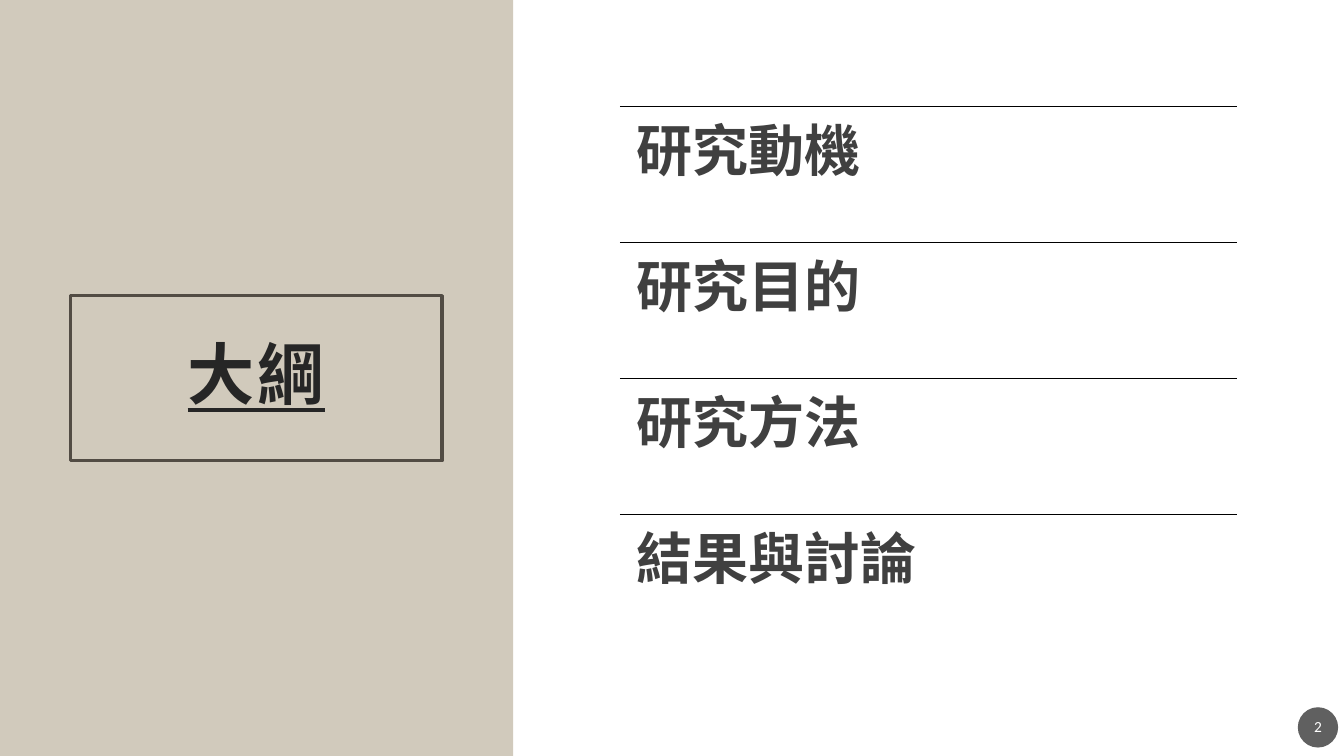
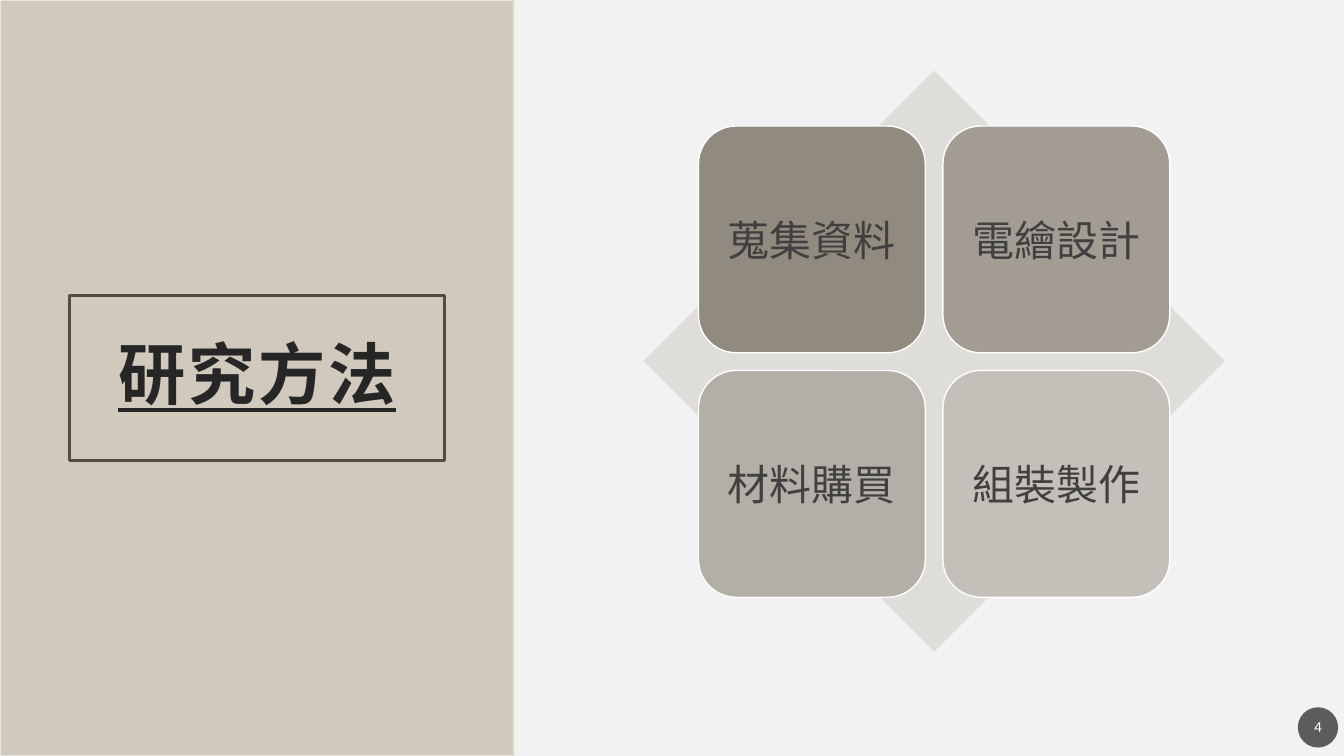
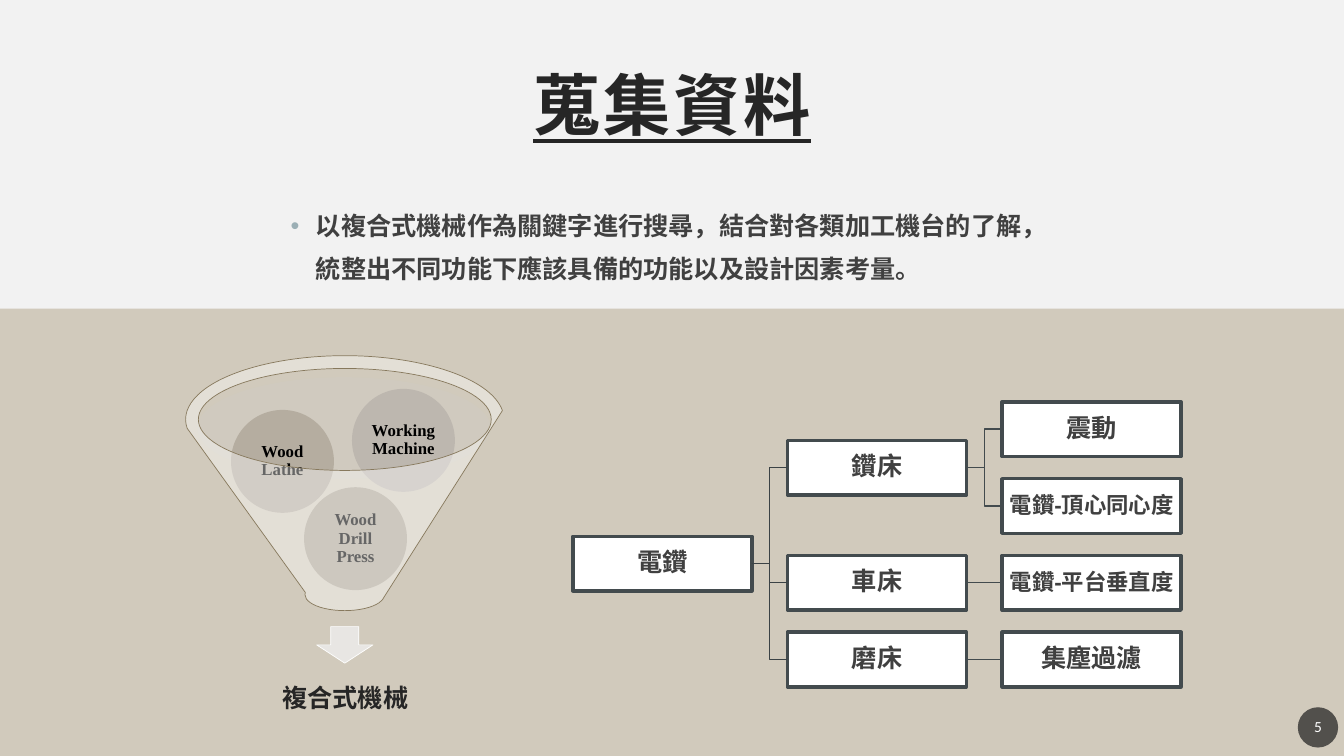
import pptx
import pptx.dml.color
import pptx.enum.shapes
import pptx.enum.text
import pptx.oxml
import pptx.oxml.ns
import pptx.util
from lxml import etree

RGB = pptx.dml.color.RGBColor
WHITE = RGB(0xFF, 0xFF, 0xFF)
BLACK = RGB(0x00, 0x00, 0x00)
PALE = RGB(0xF2, 0xF2, 0xF2)
SAND = RGB(0xD1, 0xCA, 0xBC)
SAND_EDGE = RGB(0xE8, 0xE5, 0xDE)
BROWN = RGB(0x52, 0x4C, 0x44)
INK = RGB(0x26, 0x26, 0x26)
GREY = RGB(0x40, 0x40, 0x40)
BADGE = RGB(0x1D, 0x1D, 0x1D)
DIAMOND = RGB(0xDF, 0xDD, 0xDA)
CARD_FILLS = [RGB(0x91, 0x8A, 0x7F), RGB(0xA2, 0x9C, 0x92),
              RGB(0xB3, 0xAE, 0xA6), RGB(0xC4, 0xBF, 0xB9)]
MOUTH = RGB(0xCF, 0xCB, 0xC4)
ARROW = RGB(0xE8, 0xE6, 0xE3)
FUNNEL_EDGE = RGB(0x87, 0x79, 0x5D)
DRILL = RGB(0xAC, 0xA4, 0x95)
LATHE = RGB(0xB5, 0xAD, 0xA0)
MACHINE = RGB(0xBD, 0xB7, 0xAF)
TRUNK = RGB(0x3B, 0x42, 0x45)
SLATE = RGB(0x43, 0x4B, 0x4E)

CJK = "Noto Sans CJK SC"
SHAPE = pptx.enum.shapes.MSO_SHAPE
CONNECTOR = pptx.enum.shapes.MSO_CONNECTOR
MIDDLE = pptx.enum.text.MSO_ANCHOR.MIDDLE
TOP = pptx.enum.text.MSO_ANCHOR.TOP
CENTER = pptx.enum.text.PP_ALIGN.CENTER
LEFT = pptx.enum.text.PP_ALIGN.LEFT
Pt = pptx.util.Pt
qn = pptx.oxml.ns.qn

TITLE_FONT = {"name": CJK, "size": Pt(48), "bold": True, "underline": True}
AGENDA_FONT = {"name": CJK, "size": Pt(40), "bold": True}
BODY_FONT = {"name": CJK, "size": Pt(18), "bold": True}
CARD_FONT = {"name": "Calibri", "size": Pt(30)}
BADGE_FONT = {"name": "Calibri", "size": Pt(11)}
CIRCLE_FONT = {"name": "Times New Roman", "size": Pt(12), "bold": True}
LABEL_FONT = {"name": "Arial", "size": Pt(18), "bold": True}
LONG_LABEL_FONT = {**LABEL_FONT, "size": Pt(16)}

deck = pptx.Presentation()
deck.slide_width = pptx.util.Inches(13.333)
deck.slide_height = pptx.util.Inches(7.5)
COLUMNS, ROWS = 160, 90
CELL = deck.slide_height / ROWS


def draw(page, kind, at, fill=None, line=None, width=1, alpha=None):
    shape = page.shapes.add_shape(kind, *[round(CELL * cells) for cells in at])
    shape.shadow.inherit = False
    shape.fill.solid()
    shape.fill.fore_color.rgb = fill
    if alpha:
        colour = shape._element.spPr.find(qn("a:solidFill"))[0]
        etree.SubElement(colour, qn("a:alpha"), val=str(alpha * 1000))
    if line is None:
        shape.line.fill.background()
    else:
        shape.line.color.rgb = line
        shape.line.width = Pt(width)
    return shape


def write(shape, text, font, colour, margins=(1.2, 0.6), anchor=MIDDLE,
          align=CENTER, spacing=0.9):
    frame = shape.text_frame
    across, down = [round(CELL * cells) for cells in margins]
    values = {"word_wrap": True, "vertical_anchor": anchor,
              "auto_size": pptx.enum.text.MSO_AUTO_SIZE.NONE,
              "margin_left": across, "margin_right": across,
              "margin_top": down, "margin_bottom": down}
    for name, value in values.items():
        setattr(frame, name, value)
    para = frame.paragraphs[0]
    for name, value in {"alignment": align, "line_spacing": spacing,
                        "space_before": Pt(0)}.items():
        setattr(para, name, value)
    span = para.add_run()
    span.text = text
    for name, value in font.items():
        setattr(span.font, name, value)
    span.font.color.rgb = colour
    etree.SubElement(span._r.get_or_add_rPr(), qn("a:ea"), typeface=CJK)
    return span


title_only, title_and_body = deck.slide_layouts[5], deck.slide_layouts[1]
outline = deck.slides.add_slide(title_only)
method = deck.slides.add_slide(title_only)
research = deck.slides.add_slide(title_and_body)
connectors = []

frames = [
    (outline, "大綱", "2", WHITE, (0, 0, 61.1, ROWS), None,
     (8.4, 35.2, 44.2, 19.65), 2.5),
    (method, "研究方法", "4", PALE, (0, 0, 61.2, ROWS), SAND_EDGE,
     (8.3, 35.2, 44.6, 19.65), 2.25),
    (research, "蒐集資料", "5", PALE, (0, 36.75, COLUMNS, 53.25), None,
     (29.3, 5.2, 101.4, 15.6), None),
]
for page, heading, number, backdrop, panel_at, edge, title_at, border in frames:
    page.background.fill.solid()
    page.background.fill.fore_color.rgb = backdrop
    panel = draw(page, SHAPE.RECTANGLE, panel_at, SAND, edge)
    page.shapes._spTree.insert(2, panel._element)
    title = page.shapes.title
    for name, cells in zip(("left", "top", "width", "height"), title_at):
        setattr(title, name, round(CELL * cells))
    if border:
        title.line.color.rgb = BROWN
        title.line.width = Pt(border)
    span = write(title, heading, TITLE_FONT, INK, (2.4, 2.4))
    span._r.get_or_add_rPr().set("spc", "200")
    badge = draw(page, SHAPE.OVAL, (154.5, 84.2, 4.8, 4.8), BADGE, alpha=70)
    write(badge, number, BADGE_FONT, WHITE, (0.24, 0.6))

agenda_left, agenda_top, agenda_width, agenda_pitch = 73.8, 12.7, 73.5, 16.16
for index, topic in enumerate(["研究動機", "研究目的", "研究方法", "結果與討論"]):
    top = round(CELL * (agenda_top + index * agenda_pitch))
    left, width, height = [round(CELL * cells) for cells in
                           (agenda_left, agenda_width, agenda_pitch)]
    rule = outline.shapes.add_connector(
        CONNECTOR.STRAIGHT, left, top, left + width, top)
    connectors.append((rule, BLACK, 0.5))
    box = outline.shapes.add_textbox(left, top, width, height)
    write(box, topic, AGENDA_FONT, GREY, (2, 2), TOP, LEFT)

draw(method, SHAPE.DIAMOND, (76.6, 8.4, 69.2, 69.2), DIAMOND)
card_left, card_top, card_size, card_pitch = 83.15, 15, 27, 29.1
steps = ["蒐集資料", "電繪設計", "材料購買", "組裝製作"]
for index, (step, fill) in enumerate(zip(steps, CARD_FILLS)):
    row, column = divmod(index, 2)
    card = draw(method, SHAPE.ROUNDED_RECTANGLE,
                (card_left + column * card_pitch, card_top + row * card_pitch,
                 card_size, card_size), fill, WHITE)
    write(card, step, CARD_FONT, GREY, spacing=1)

body = research.placeholders[1]
for name, cells in zip(("left", "top", "width", "height"),
                       (33.4, 23.05, 93.2, 13.7)):
    setattr(body, name, round(CELL * cells))
properties = body.text_frame.paragraphs[0]._p.get_or_add_pPr()
properties.set("marL", str(round(CELL * 3)))
properties.set("indent", str(round(CELL * -3)))
bullet_colour = etree.SubElement(properties, qn("a:buClr"))
etree.SubElement(bullet_colour, qn("a:srgbClr"), val="9BAFB5")
etree.SubElement(properties, qn("a:buFont"), typeface="Arial")
etree.SubElement(properties, qn("a:buChar"), char="•")
write(body, "以複合式機械作為關鍵字進行搜尋，結合對各類加工機台的了解，"
            "統整出不同功能下應該具備的功能以及設計因素考量。",
      BODY_FONT, GREY, anchor=TOP, align=LEFT, spacing=1.4)

draw(research, SHAPE.OVAL, (23.5, 44.9, 34.9, 12.1), MOUTH, alpha=40)
draw(research, SHAPE.DOWN_ARROW, (37.7, 74.6, 6.7, 4.35), ARROW, WHITE, 0.5)
label = research.shapes.add_textbox(
    *[round(CELL * cells) for cells in (24.85, 79.2, 32.5, 8.1)])
write(label, "複合式機械", LABEL_FONT, INK, (1.7, 1.7))
circle_size = 12.25
for left, top, tool, fill in [(36.2, 58, "Wood Drill Press", DRILL),
                              (27.5, 48.8, "Wood Lathe", LATHE),
                              (41.9, 46.3, "Working Machine", MACHINE)]:
    circle = draw(research, SHAPE.OVAL, (left, top, circle_size, circle_size), fill)
    write(circle, tool, CIRCLE_FONT, BLACK, (0.24, 0.24))
draw(research, SHAPE.FUNNEL, (22.1, 42.35, 37.9, 30.35), WHITE, FUNNEL_EDGE,
     0.5, alpha=40)

tree_left, tree_top, column_pitch, row_pitch = 68.2, 47.85, 25.55, 9.14
nodes = [
    ("電鑽", None, 0, 1.75, LABEL_FONT),
    ("鑽床", "電鑽", 1, 0.5, LABEL_FONT),
    ("車床", "電鑽", 1, 2, LABEL_FONT),
    ("磨床", "電鑽", 1, 3, LABEL_FONT),
    ("震動", "鑽床", 2, 0, LABEL_FONT),
    ("電鑽-頂心同心度", "鑽床", 2, 1, LONG_LABEL_FONT),
    ("電鑽-平台垂直度", "車床", 2, 2, LONG_LABEL_FONT),
    ("集塵過濾", "磨床", 2, 3, LABEL_FONT),
]
boxes = {}
for text, parent, column, row, font in nodes:
    box = draw(research, SHAPE.RECTANGLE,
               (tree_left + column * column_pitch, tree_top + row * row_pitch,
                21.3, 6.5), WHITE, SLATE, 2.5)
    write(box, text, font, GREY, (0.12, 0.12))
    boxes[text] = box
    if parent:
        level = boxes[parent].top == box.top
        kind = CONNECTOR.STRAIGHT if level else CONNECTOR.ELBOW
        branch = research.shapes.add_connector(kind, 0, 0, 0, 0)
        branch.begin_connect(boxes[parent], 3)
        branch.end_connect(box, 1)
        connectors.append((branch, TRUNK if column == 1 else SLATE, 1))

for connector, colour, width in connectors:
    connector.line.color.rgb = colour
    connector.line.width = Pt(width)
    etree.SubElement(connector._element.spPr, qn("a:effectLst"))

deck.save("out.pptx")
